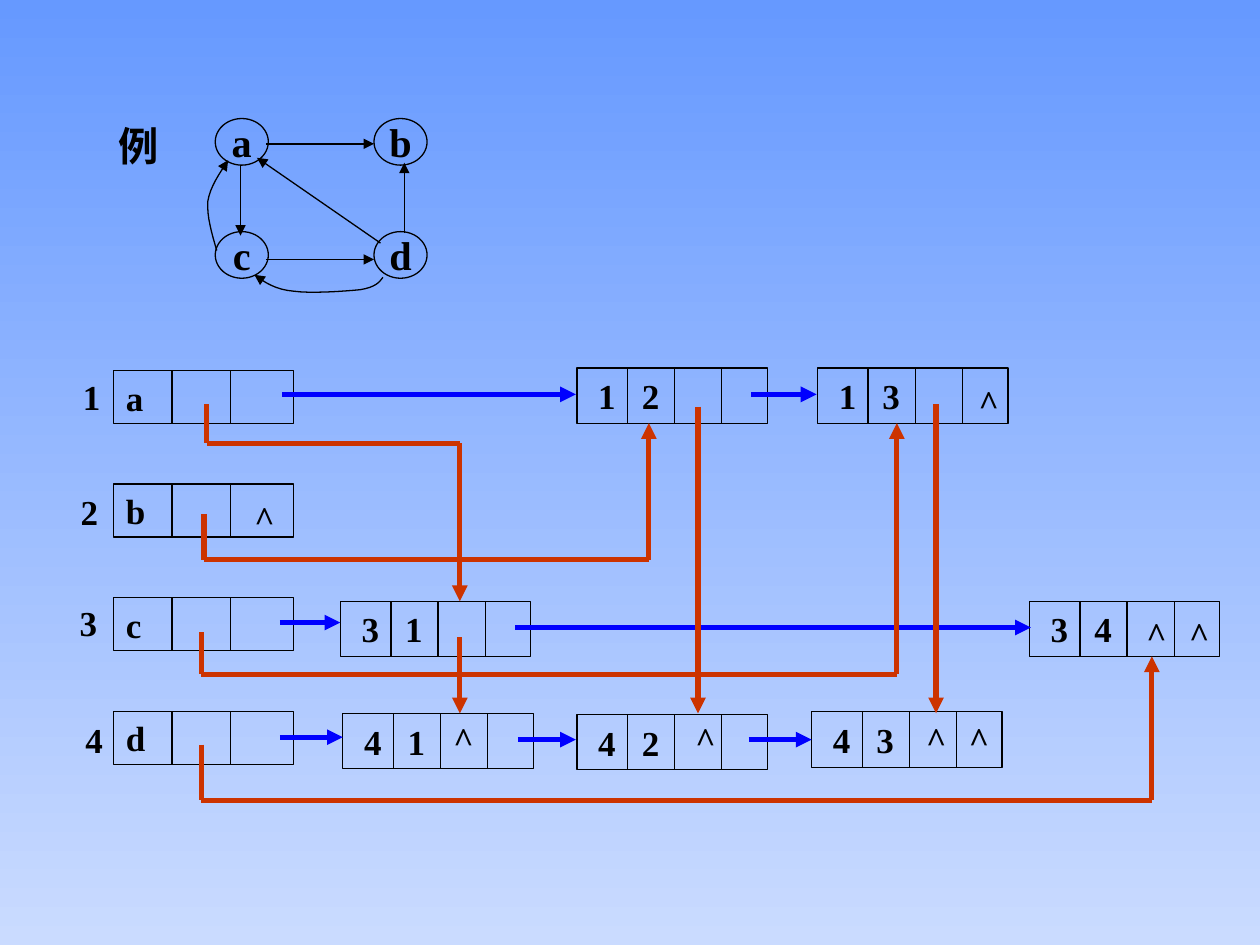
from lxml import etree
from pptx import Presentation
from pptx import util as u
from pptx.dml.color import RGBColor
from pptx.enum import shapes, text
from pptx.oxml import ns

COLORS = {"top": "6699FF", "bottom": "CADBFF", "ink": "000000",
          "next_arc": "0000FF", "next_head": "CC3300"}


def style_line(shape, color, width, arrow=False):
    shape.line.color.rgb = RGBColor.from_string(COLORS[color])
    shape.line.width = u.Pt(width)
    properties = shape._element.spPr
    if arrow:
        etree.SubElement(shape.line._get_or_add_ln(), ns.qn("a:tailEnd"), type="triangle")
    if properties.find(ns.qn("a:effectLst")) is None:
        etree.SubElement(properties, ns.qn("a:effectLst"))


def write(shape, words, size, align, anchor=text.MSO_ANCHOR.MIDDLE, wrap=False):
    frame = shape.text_frame
    frame.text = words
    frame.word_wrap = wrap
    frame.vertical_anchor = anchor
    paragraph = frame.paragraphs[0]
    paragraph.alignment = align
    font = paragraph.runs[0].font
    font.name, font.size, font.bold = "Times New Roman", u.Pt(size), True
    font.color.rgb = RGBColor.from_string(COLORS["ink"])


LEFT, CENTER = text.PP_ALIGN.LEFT, text.PP_ALIGN.CENTER
STRAIGHT = shapes.MSO_CONNECTOR.STRAIGHT

presentation = Presentation()
presentation.slide_width, presentation.slide_height = u.Cm(25.4), u.Cm(19.05)
slide = presentation.slides.add_slide(presentation.slide_layouts[6])

# Background running from top to bottom
background = slide.background.fill
background.gradient()
background.gradient_angle = 270
for stop, position, color in zip(background.gradient_stops, (0, 1), ("top", "bottom")):
    stop.position = position
    stop.color.rgb = RGBColor.from_string(COLORS[color])

# Directed graph: title and nodes
title = slide.shapes.add_textbox(u.Cm(2.13), u.Cm(2.31), u.Cm(1.32), u.Cm(1.24))
write(title, "例", 23, CENTER)
for name, x, y in (("a", 4.34, 2.39), ("b", 7.54, 2.39), ("c", 4.34, 4.67), ("d", 7.54, 4.67)):
    node = slide.shapes.add_shape(shapes.MSO_SHAPE.OVAL, u.Cm(x), u.Cm(y), u.Cm(1.07), u.Cm(0.94))
    node.fill.background()
    style_line(node, "ink", 0.75)
    write(node, name, 23, CENTER)

# Curved edges d-c and c-a, as chains of cubic Bezier pieces
curves = [
    [(7.72, 5.59), (7.65, 5.69), (7.57, 5.79), (7.26, 5.84), (6.96, 5.87),
     (6.27, 5.92), (5.92, 5.87), (5.56, 5.84), (5.33, 5.69), (5.13, 5.54)],
    [(4.37, 5.05), (4.27, 4.7), (4.17, 4.37), (4.19, 4.06),
     (4.24, 3.76), (4.42, 3.51), (4.6, 3.23)],
]
STEPS = 8
for controls in curves:
    points = []
    for start in range(0, len(controls) - 1, 3):
        piece = controls[start:start + 4]
        for step in range(1, STEPS + 1):
            t = step / STEPS
            weights = ((1 - t) ** 3, 3 * t * (1 - t) ** 2, 3 * t * t * (1 - t), t ** 3)
            points.append([u.Cm(sum(w * p[axis] for w, p in zip(weights, piece)))
                           for axis in (0, 1)])
    builder = slide.shapes.build_freeform(u.Cm(controls[0][0]), u.Cm(controls[0][1]))
    builder.add_line_segments(points, close=False)
    edge = builder.convert_to_shape()
    edge.fill.background()
    style_line(edge, "ink", 0.75, arrow=True)

# Vertex list: index, name cell and two pointer cells
dividers = []
indexes = ((1.42, 7.44), (1.37, 9.75), (1.35, 11.99), (1.47, 14.35))
for row, (name, (index_x, index_y)) in enumerate(zip("abcd", indexes)):
    y = 7.47 + 2.29 * row
    record = slide.shapes.add_shape(shapes.MSO_SHAPE.RECTANGLE,
                                    u.Cm(2.29), u.Cm(y), u.Cm(3.63), u.Cm(1.07))
    record.fill.background()
    style_line(record, "ink", 0.75)
    write(record, name, 20, LEFT, wrap=True)
    dividers += [[(x, y), (x, y + 1.07)] for x in (3.47, 4.65)]
    index = slide.shapes.add_textbox(u.Cm(index_x), u.Cm(index_y), u.Cm(0.86), u.Cm(1.12))
    write(index, str(row + 1), 20, CENTER)

# Arc records: tail, head and two pointer cells
arcs = (("1", "2", 11.63, 7.42), ("1", "3", 16.48, 7.42), ("3", "1", 6.86, 12.12),
        ("3", "4", 20.75, 12.12), ("4", "1", 6.91, 14.38), ("4", "2", 11.63, 14.4),
        ("4", "3", 16.36, 14.35))
for tail, head, x, y in arcs:
    record = slide.shapes.add_shape(shapes.MSO_SHAPE.RECTANGLE,
                                    u.Cm(x), u.Cm(y), u.Cm(3.84), u.Cm(1.12))
    record.fill.background()
    style_line(record, "ink", 0.75)
    write(record, f"{tail}\t{head}", 20, LEFT, wrap=True)
    # The tab stop puts the head number inside the second cell
    record.text_frame.margin_left = u.Cm(0.43)
    properties = record.text_frame.paragraphs[0]._p.get_or_add_pPr()
    tabs = etree.SubElement(properties, ns.qn("a:tabLst"))
    etree.SubElement(tabs, ns.qn("a:tab"), pos=str(u.Cm(0.88)), algn="l")
    dividers += [[(x + 1.02 + 0.95 * cell, y), (x + 1.02 + 0.95 * cell, y + 1.12)]
                 for cell in range(3)]

# Graph edges and the two kinds of pointers
edges = [[(5.36, 2.9), (7.54, 2.9)], [(5.36, 5.23), (7.54, 5.23)], [(4.85, 3.33), (4.85, 4.75)],
         [(7.67, 4.9), (5.18, 3.18)], [(8.15, 4.7), (8.15, 3.28)]]
next_arcs = [[(start, y), (end, y)] for start, end, y in (
    (5.69, 11.61, 7.95), (15.14, 16.46, 7.95), (5.64, 6.86, 12.55), (10.39, 20.78, 12.65),
    (5.64, 6.91, 14.86), (10.44, 11.61, 14.91), (15.09, 16.36, 14.91))]
next_heads = [[(x, start), (x, 14.38)] for x, start in ((9.27, 12.85), (14.07, 8.2), (18.87, 8.15))]
next_heads += [[(x, start), (x, bend), (target, bend), (target, end)]
               for x, start, bend, target, end in (
                   (4.17, 8.15, 8.94, 9.27, 12.12), (4.11, 10.36, 11.28, 13.08, 8.53),
                   (4.06, 12.75, 13.59, 18.08, 8.53), (4.06, 15.01, 16.13, 23.22, 13.23))]

for routes, color, width, arrow in ((dividers, "ink", 0.75, False), (edges, "ink", 0.75, True),
                                    (next_arcs, "next_arc", 3, True),
                                    (next_heads, "next_head", 3, True)):
    for route in routes:
        for start, end in zip(route, route[1:]):
            line = slide.shapes.add_connector(STRAIGHT, *map(u.Cm, start + end))
            style_line(line, color, width, arrow and end == route[-1])

# Null pointers
for x, y in ((19.48, 7.54), (4.88, 9.88), (22.86, 12.22), (23.72, 12.22),
             (8.89, 14.33), (13.77, 14.33), (18.42, 14.33), (19.28, 14.33)):
    null = slide.shapes.add_textbox(u.Cm(x), u.Cm(y), u.Cm(0.91), u.Cm(1.12))
    write(null, "^", 20, LEFT, anchor=text.MSO_ANCHOR.TOP)

presentation.save("out.pptx")
